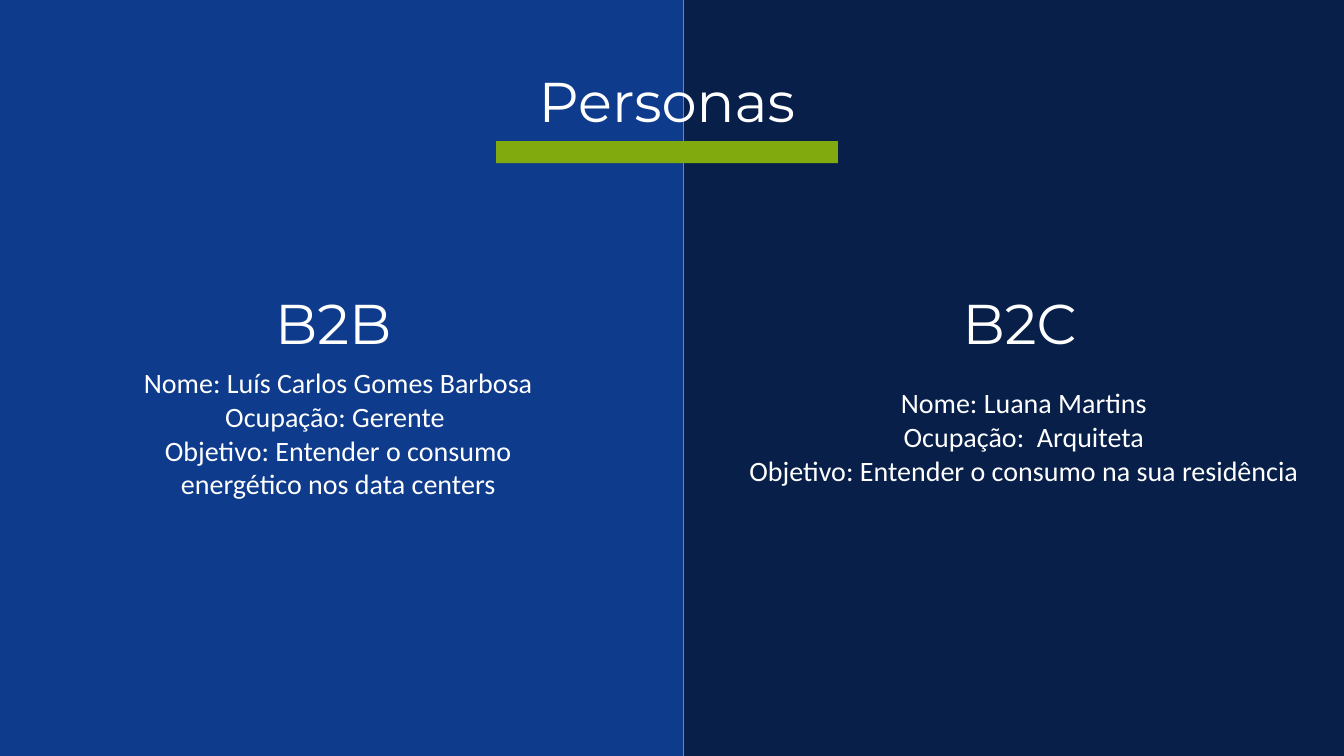
from dataclasses import dataclass

from pptx import Presentation
from pptx.dml.color import RGBColor
from pptx.enum.shapes import MSO_SHAPE
from pptx.enum.text import MSO_ANCHOR, MSO_AUTO_SIZE, PP_ALIGN
from pptx.util import Inches, Pt


@dataclass(frozen=True)
class Theme:
    blue: str = "0E3B8C"
    navy: str = "071F49"
    green: str = "81AA0F"
    white: str = "FFFFFF"
    heading_font: str = "Montserrat"
    body_font: str = "Calibri"
    heading_size: int = 40
    body_size: int = 20


def write_text(tf, text, *, font, size, color, align=PP_ALIGN.CENTER):
    tf.word_wrap = True
    tf.auto_size = MSO_AUTO_SIZE.NONE
    tf.vertical_anchor = MSO_ANCHOR.TOP
    for i, line in enumerate(text.split("\n")):
        p = tf.add_paragraph() if i else tf.paragraphs[0]
        p.alignment = align
        r = p.add_run()
        r.text = line
        r.font.name = font
        r.font.size = Pt(size)
        r.font.color.rgb = RGBColor.from_string(color)


class SlideBuilder:
    COLUMNS = 100
    ROWS = 100

    def __init__(self, prs, theme):
        self.theme = theme
        self.column = prs.slide_width / self.COLUMNS
        self.row = prs.slide_height / self.ROWS
        self.s = prs.slides.add_slide(prs.slide_layouts[5])

    def box(self, x, y, w, h):
        return (round(x * self.column), round(y * self.row),
                round(w * self.column), round(h * self.row))

    def rectangle(self, x, y, w, h, color):
        sp = self.s.shapes.add_shape(MSO_SHAPE.RECTANGLE, *self.box(x, y, w, h))
        sp.shadow.inherit = False
        sp.fill.solid()
        sp.fill.fore_color.rgb = RGBColor.from_string(color)
        sp.line.fill.background()

    def heading_text(self, sp, text):
        t = self.theme
        write_text(sp.text_frame, text, font=t.heading_font,
                   size=t.heading_size, color=t.white)

    def title(self, text, x, y, w, h):
        sp = self.s.shapes.title
        sp.left, sp.top, sp.width, sp.height = self.box(x, y, w, h)
        self.heading_text(sp, text)
        self.s.shapes._spTree.append(sp._element)

    def heading(self, text, x, y, w, h):
        sp = self.s.shapes.add_textbox(*self.box(x, y, w, h))
        self.heading_text(sp, text)

    def body(self, text, x, y, w, h):
        t = self.theme
        sp = self.s.shapes.add_textbox(*self.box(x, y, w, h))
        write_text(sp.text_frame, text, font=t.body_font,
                   size=t.body_size, color=t.white)


def main():
    prs = Presentation()
    prs.slide_width, prs.slide_height = Inches(13.33), Inches(7.5)
    theme = Theme()
    slide = SlideBuilder(prs, theme)

    split = 50.86
    heading_w, heading_h = 34.28, 10.27
    slide.rectangle(split, 0, slide.COLUMNS - split, slide.ROWS, theme.navy)
    slide.rectangle(0, 0, split, slide.ROWS, theme.blue)
    slide.title("Personas", 32.48, 8.13, heading_w, heading_h)
    slide.rectangle(36.91, 18.67, 25.43, 2.93, theme.green)

    personas = [
        ("B2B", 7.65, (7.05, 47.73, 36.23, 19.33),
         "Nome: Luís Carlos Gomes Barbosa\nOcupação: Gerente \n"
         "Objetivo: Entender o consumo energético nos data centers"),
        ("B2C", 58.74, (54.91, 50.4, 42.54, 14.8),
         "Nome: Luana Martins\nOcupação:  Arquiteta\n"
         "Objetivo: Entender o consumo na sua residência "),
    ]
    for name, heading_x, body_box, details in personas:
        slide.heading(name, heading_x, 37.47, heading_w, heading_h)
        slide.body(details, *body_box)

    prs.save("out.pptx")


if __name__ == "__main__":
    main()
